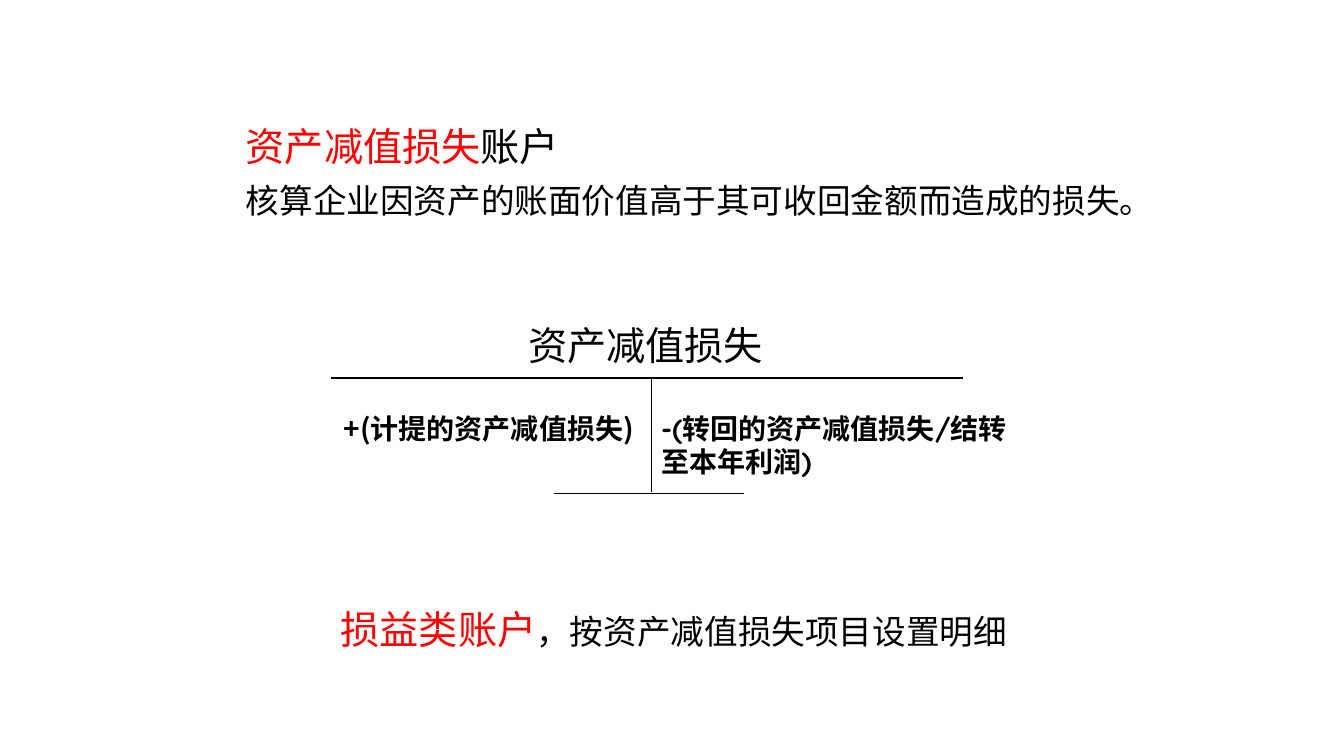
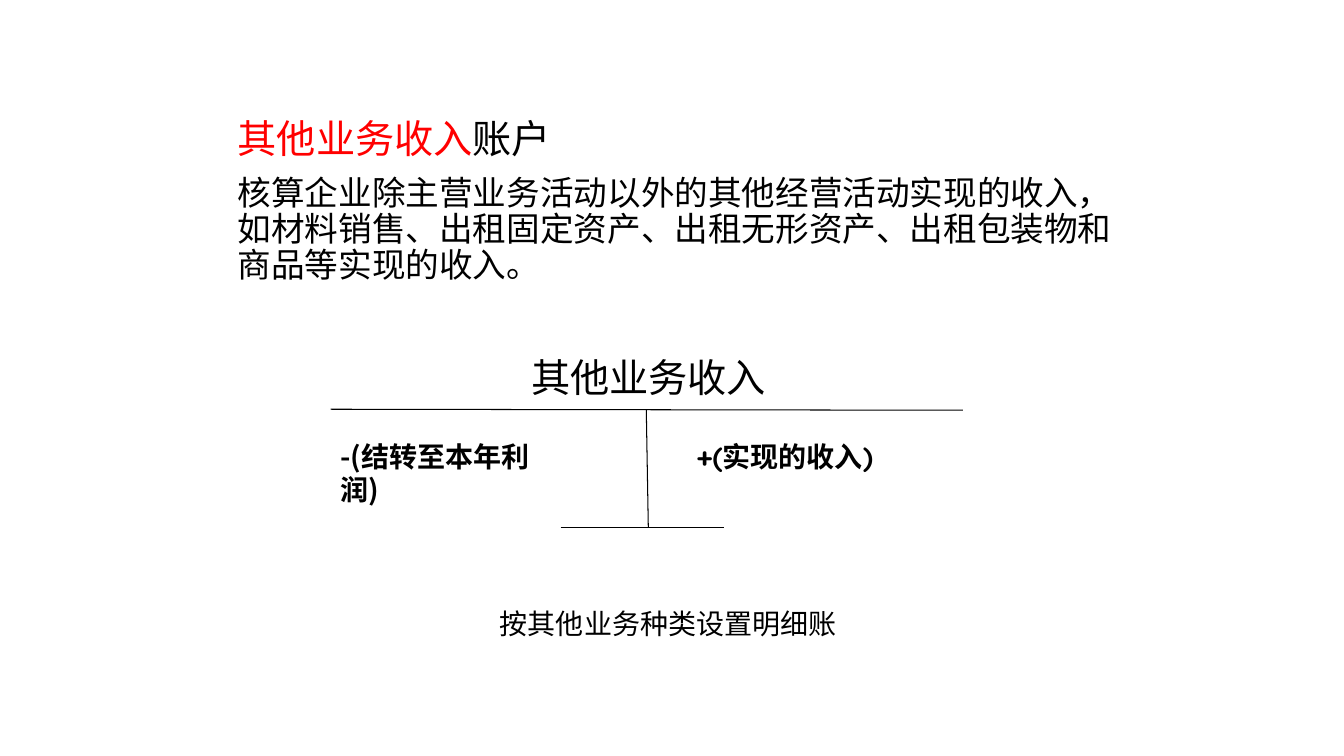
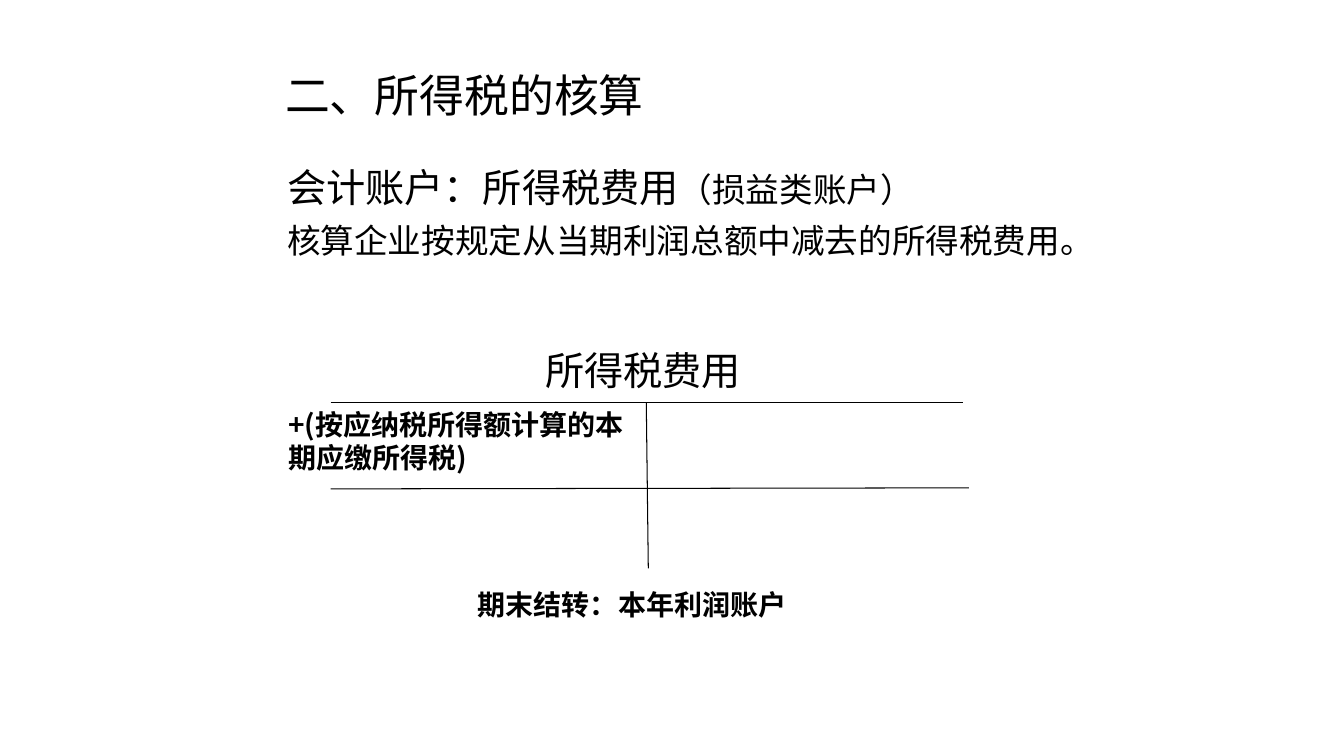
from lxml import etree
from pptx import Presentation
from pptx.dml.color import RGBColor
from pptx.enum import shapes, text
from pptx.oxml.ns import qn
from pptx.util import Inches, Pt

# Shared style
SANS, ROUND = "Noto Sans CJK SC", "Quicksand"
BLACK, RED = "000000", "FF0000"
HEAD, BODY, NOTE = 28, 24, 20
LEFT, RIGHT = 3.28, 9.55  # ends of the top bar of each T-account


def add_text(s, box, *paras, size=NOTE, bold=False, font=SANS, spacing=1.0,
             anchor=text.MSO_ANCHOR.TOP):
    """Each paragraph is a string or a list of (string, overrides) runs."""
    tf = s.shapes.add_textbox(*map(Inches, box)).text_frame
    tf.word_wrap = True
    tf.vertical_anchor = anchor
    for i, runs in enumerate(paras):
        p = tf.paragraphs[0] if i == 0 else tf.add_paragraph()
        p.line_spacing = spacing
        p.space_before = Pt(10 if i else 0)
        for words, fmt in [(runs, {})] if isinstance(runs, str) else runs:
            r = p.add_run()
            r.text = words
            r.font.size = Pt(fmt.get("size", size))
            r.font.bold = bold
            r.font.color.rgb = RGBColor.from_string(fmt.get("color", BLACK))
            r.font.name = fmt.get("font", font)
            ea = etree.SubElement(r.font._element, qn("a:ea"))
            ea.set("typeface", SANS)


def add_line(s, x1, y1, x2, y2):
    line = s.shapes.add_connector(shapes.MSO_CONNECTOR.STRAIGHT,
                                  *map(Inches, (x1, y1, x2, y2)))
    line.line.color.rgb = RGBColor.from_string(BLACK)
    line.line.width = Pt(0.75)
    etree.SubElement(line._element.spPr, qn("a:effectLst"))


prs = Presentation()
prs.slide_width, prs.slide_height = Inches(13.33), Inches(7.5)

# Per slide: description, account name, T-account lines, entries
slides = [
    dict(intro=((2.34, 1.22, 9.06, 2.6),
                [("资产减值损失", dict(color=RED)), ("账户", {})],
                [("核算企业因资产的账面价值高于其可收回金额而造成的损失。", dict(size=BODY))]),
         name=((5.14, 3.14, 3.18, 0.57), "资产减值损失"),
         lines=[(LEFT, 3.75, RIGHT, 3.75), (6.46, 3.75, 6.46, 4.88),
                (5.49, 4.9, 7.38, 4.9)],
         entries=[((3.31, 4.03, 3.57, 0.44), "+(计提的资产减值损失)", SANS),
                  ((6.46, 4.03, 3.8, 0.77), "-(转回的资产减值损失/结转至本年利润)", ROUND)]),
    dict(intro=((2.26, 1.14, 9.06, 2.6),
                [("其他业务收入", dict(color=RED)), ("账户", {})],
                [("核算企业除主营业务活动以外的其他经营活动实现的收入，如材料销售、"
                  "出租固定资产、出租无形资产、出租包装物和商品等实现的收入。", dict(size=BODY))]),
         name=((5.17, 3.46, 3.15, 0.57), "其他业务收入"),
         lines=[(LEFT, 4.06, RIGHT, 4.07), (6.41, 4.06, 6.43, 5.23),
                (5.56, 5.23, 7.18, 5.23)],
         entries=[((3.28, 4.31, 2.38, 0.44), "-(结转至本年利润)", SANS),
                  ((6.81, 4.31, 3.8, 0.44), "+(实现的收入)", ROUND)]),
    dict(intro=((2.75, 1.62, 8.03, 4.73),
                [("会计账户：所得税费用", {}), ("（损益类账户）", dict(size=BODY))],
                [("核算企业按规定从当期利润总额中减去的所得税费用。", dict(size=BODY))]),
         name=((5.31, 3.39, 3.15, 0.57), "所得税费用"),
         lines=[(LEFT, 3.99, RIGHT, 3.99), (6.41, 3.99, 6.43, 5.64),
                (LEFT, 4.85, 9.61, 4.84)],
         entries=[((2.76, 3.99, 3.56, 0.77),
                   [("+(", {}), ("按应纳税所得额计算的本期应缴所得税", dict(font=ROUND)),
                    (")", {})], SANS),
                  ((4.64, 5.78, 4.25, 0.44), "期末结转：本年利润账户", SANS)]),
]

for account in slides:
    s = prs.slides.add_slide(prs.slide_layouts[6])
    add_text(s, *account["intro"], size=HEAD, spacing=0.9)
    add_text(s, *account["name"], size=HEAD)
    for ends in account["lines"]:
        add_line(s, *ends)
    for box, words, font in account["entries"]:
        add_text(s, box, words, bold=True, font=font)

# Closing notes and the section title
impairment, income, tax = prs.slides
add_text(impairment, (3.28, 5.96, 7.64, 0.54),
         [("损益类账户", dict(size=HEAD, color=RED)),
          ("，按资产减值损失项目设置明细", {})], size=BODY)
add_text(income, (4.86, 5.97, 5.42, 0.44), "按其他业务种类设置明细账")
add_text(tax, (2.73, 0.52, 7.5, 0.9), "二、所得税的核算", size=32, spacing=0.9,
         anchor=text.MSO_ANCHOR.MIDDLE)

prs.save("out.pptx")
